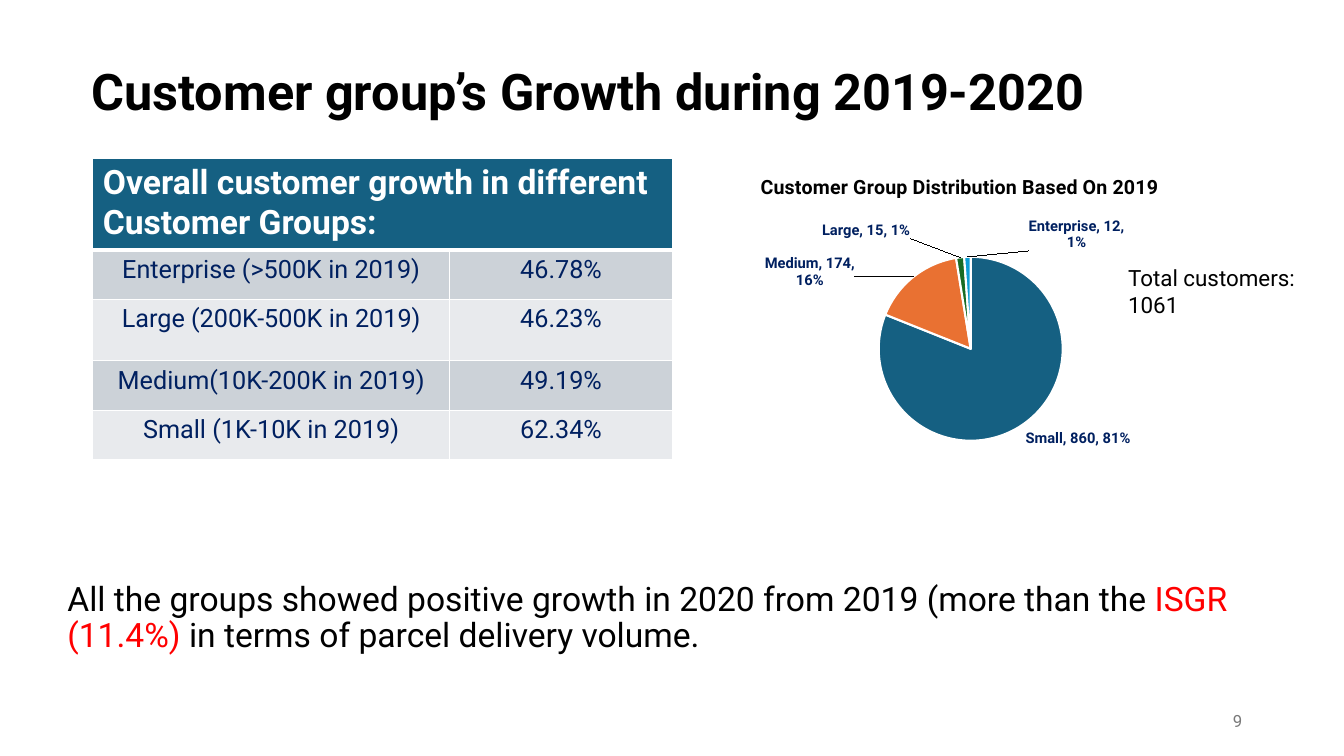
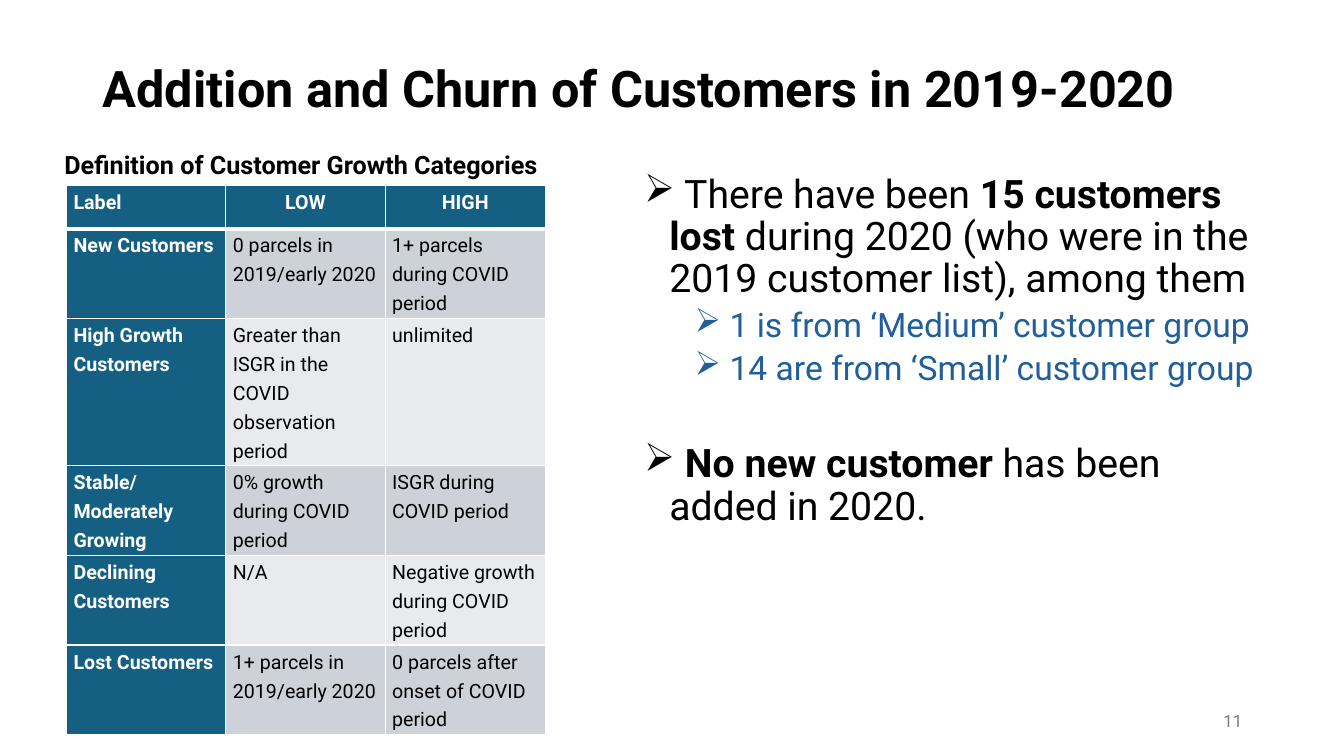
from copy import deepcopy
from dataclasses import dataclass
from typing import NamedTuple

from pptx import Presentation
from pptx import util as u
from pptx.chart import data as chart_data
from pptx.dml import color as dml
from pptx.enum import chart as ch
from pptx.enum import text as t
from pptx.oxml import parse_xml
from pptx.oxml import ns

PX = 9144  # 100 px to the inch
FONT = "Roboto"
BLACK, WHITE, GREY, RED = "000000", "FFFFFF", "797979", "FF0000"
TEAL, NAVY, BLUE = "156082", "002060", "215F9A"
BANDS = ("CCD2D8", "E8EAED")
LEFT, CENTER, RIGHT = t.PP_ALIGN.LEFT, t.PP_ALIGN.CENTER, t.PP_ALIGN.RIGHT


class Box(NamedTuple):
    left: int
    top: int
    width: int
    height: int

    def emu(self) -> list[int]:
        return [side * PX for side in self]


class Run(NamedTuple):
    text: str
    color: str | None = None
    bold: bool | None = None


@dataclass(frozen=True)
class Para:
    runs: tuple[Run, ...]
    size: float
    color: str = BLACK
    bold: bool = False
    align: t.PP_ALIGN = LEFT
    line: float = 1.0
    before: int = 0
    after: int = 0
    bullet_at: int | None = None


@dataclass(frozen=True)
class CellStyle:
    size: int
    line: float = 1.0
    before: int = 0
    after: int = 0
    inset: tuple[int, int] = (10, 5)


class Slice(NamedTuple):
    group: str
    customers: int
    color: str
    label_shift: tuple[float, float] | None = None


def rgb(value: str) -> dml.RGBColor:
    return dml.RGBColor.from_string(value)


def style_font(font, size: float, color: str, bold: bool) -> None:
    font.name, font.size, font.bold = FONT, u.Pt(size), bold
    font.color.rgb = rgb(color)


def add_bullet(paragraph, left: int) -> None:
    """Hang an arrowhead bullet 25 px before the text at left."""
    props = paragraph._p.get_or_add_pPr()
    props.set("marL", str(left * PX))
    props.set("indent", str(-25 * PX))
    props.append(parse_xml(f'<a:buChar {ns.nsdecls("a")} char="➢"/>'))


def fill_text(frame, paras: list[Para]) -> None:
    for index, para in enumerate(paras):
        paragraph = frame.add_paragraph() if index else frame.paragraphs[0]
        paragraph.alignment = para.align
        paragraph.line_spacing = para.line
        paragraph.space_before = u.Pt(para.before)
        paragraph.space_after = u.Pt(para.after)
        if para.bullet_at is not None:
            add_bullet(paragraph, para.bullet_at)
        style_font(paragraph.font, para.size, para.color, para.bold)
        for part in para.runs:
            run = paragraph.add_run()
            run.text = part.text
            if part.color:
                run.font.color.rgb = rgb(part.color)
            if part.bold is not None:
                run.font.bold = part.bold


def add_text(slide, box: Box, *paras: Para, anchor=t.MSO_ANCHOR.TOP) -> None:
    frame = slide.shapes.add_textbox(*box.emu()).text_frame
    frame.word_wrap = True
    frame.vertical_anchor = anchor
    fill_text(frame, list(paras))


def new_slide(deck, title: str, title_box: Box, number: int):
    slide = deck.slides.add_slide(deck.slide_layouts[6])
    middle = t.MSO_ANCHOR.MIDDLE
    add_text(slide, title_box, Para((Run(title),), 36, bold=True, line=0.9),
             anchor=middle)
    add_text(slide, Box(942, 695, 300, 40),
             Para((Run(str(number)),), 12, GREY, align=RIGHT), anchor=middle)
    return slide


def border_cell(cell, bottom_pt: int) -> None:
    props = cell._tc.get_or_add_tcPr()
    for index, side in enumerate("LRTB"):
        width = u.Pt(bottom_pt if side == "B" else 1)
        props.insert(index, parse_xml(
            f'<a:ln{side} {ns.nsdecls("a")} w="{width}"><a:solidFill>'
            f'<a:srgbClr val="{WHITE}"/></a:solidFill></a:ln{side}>'))


def add_banded_table(slide, box: Box, widths: list[int], heights: list[int],
                     rows: list[list[str]], style: CellStyle, text_color: str,
                     aligns: tuple, label_column: bool):
    """Draw a table with a teal header row and, if asked, a teal first column."""
    table = slide.shapes.add_table(len(rows), len(widths), *box.emu()).table
    for column, width in zip(table.columns, widths):
        column.width = width * PX
    for row, height in zip(table.rows, heights):
        row.height = height * PX
    for r, texts in enumerate(rows):
        for c, text in enumerate(texts):
            cell = table.cell(r, c)
            heading = r == 0 or (label_column and c == 0)
            cell.fill.solid()
            cell.fill.fore_color.rgb = rgb(TEAL if heading else BANDS[(r - 1) % 2])
            cell.margin_left = cell.margin_right = style.inset[0] * PX
            cell.margin_top = cell.margin_bottom = style.inset[1] * PX
            header_align = CENTER if c else LEFT
            fill_text(cell.text_frame, [Para(
                (Run(text),) if text else (), style.size,
                WHITE if heading else text_color, heading,
                aligns[c] if r else header_align,
                style.line, style.before, style.after)])
            border_cell(cell, 1 if r else 3)
    return table


def label_slices(series, slices: list[Slice]) -> None:
    """Label each slice outside the pie, shifting those that would collide."""
    labels = series.data_labels
    labels.show_value = labels.show_category_name = labels.show_percentage = True
    labels.position = ch.XL_LABEL_POSITION.OUTSIDE_END
    style_font(labels.font, 10.5, NAVY, True)
    group = labels._element
    group.find(ns.qn("c:showBubbleSize")).addnext(
        parse_xml(f'<c:separator {ns.nsdecls("c")}>, </c:separator>'))
    shared = [part for part in group if part.tag != ns.qn("c:showLeaderLines")]
    shifted = [(i, s.label_shift) for i, s in enumerate(slices) if s.label_shift]
    for place, (index, (dx, dy)) in enumerate(shifted):
        label = parse_xml(
            f'<c:dLbl {ns.nsdecls("c")}><c:idx val="{index}"/><c:layout>'
            f'<c:manualLayout><c:x val="{dx}"/><c:y val="{dy}"/>'
            '</c:manualLayout></c:layout></c:dLbl>')
        label.extend(deepcopy(part) for part in shared)
        group.insert(place, label)


def place_plot(chart, x: float, y: float, w: float, h: float) -> None:
    """Fix the plot area, in fractions of the chart."""
    area = chart._chartSpace.chart.plotArea
    for old in area.findall(ns.qn("c:layout")):
        area.remove(old)
    area.insert(0, parse_xml(
        f'<c:layout {ns.nsdecls("c")}><c:manualLayout>'
        '<c:layoutTarget val="inner"/><c:xMode val="edge"/><c:yMode val="edge"/>'
        f'<c:x val="{x}"/><c:y val="{y}"/><c:w val="{w}"/><c:h val="{h}"/>'
        '</c:manualLayout></c:layout>'))


def add_pie(slide, box: Box, title: str, slices: list[Slice]) -> None:
    source = chart_data.CategoryChartData()
    source.categories = [s.group for s in slices]
    source.add_series("Customers", [s.customers for s in slices])
    chart = slide.shapes.add_chart(
        ch.XL_CHART_TYPE.PIE, *box.emu(), source).chart
    style_font(chart.font, 10, BLACK, False)
    chart.has_legend = False
    heading = chart.chart_title.text_frame
    heading.text = title
    style_font(heading.paragraphs[0].font, 14, BLACK, True)
    chart.plots[0].vary_by_categories = False
    series = chart.plots[0].series[0]
    for index, part in enumerate(slices):
        look = series.points[index].format
        look.fill.solid()
        look.fill.fore_color.rgb = rgb(part.color)
        look.line.color.rgb = rgb(WHITE)
        look.line.width = u.Pt(1.5)
    label_slices(series, slices)
    place_plot(chart, 0.35, 0.3, 0.34, 0.56)


def growth_slide(deck) -> None:
    slide = new_slide(deck, "Customer group’s Growth during 2019-2020",
                      Box(81, 53, 1150, 81), 9)
    growth = add_banded_table(
        slide, Box(92, 157, 575, 298), [354, 221], [91, 49, 61, 49, 49],
        [["Overall customer growth in different Customer Groups:", ""],
         ["Enterprise (>500K in 2019)", "46.78%"],
         ["Large (200K-500K in 2019)", "46.23%"],
         ["Medium(10K-200K in 2019)", "49.19%"],
         ["Small (1K-10K in 2019)", "62.34%"]],
        CellStyle(18), NAVY, (CENTER, CENTER), label_column=False)
    header = growth.cell(0, 0)
    header.merge(growth.cell(0, 1))
    header.text_frame.paragraphs[0].font.size = u.Pt(24)
    add_text(slide, Box(57, 573, 1184, 94), Para((
        Run("All the groups showed positive growth in 2020 from 2019 (more than the "),
        Run("ISGR (11.4%) ", RED),
        Run("in terms of parcel delivery volume.")), 24, line=0.9, before=10))
    add_pie(slide, Box(681, 157, 542, 326),
            "Customer Group Distribution Based On 2019",
            [Slice("Small", 860, TEAL),
             Slice("Medium", 174, "E97132", (-0.1, 0.05)),
             Slice("Large", 15, "196B24", (-0.09, -0.04)),
             Slice("Enterprise", 12, "0F9ED5", (0.2, 0))])
    add_text(slide, Box(1109, 257, 209, 64),
             Para((Run("Total customers: 1061"),), 16))


def churn_slide(deck) -> None:
    slide = new_slide(deck, "Addition and Churn of Customers in 2019-2020",
                      Box(92, 53, 1150, 75), 11)
    add_text(
        slide, Box(629, 168, 638, 498),
        Para((Run(" There have been "), Run("15 customers lost", bold=True),
              Run(" during 2020 (who were in the 2019 customer list), among them")),
             28, line=0.9, before=10, bullet_at=25),
        *(Para((Run(f" {loss} customer group"),), 24, BLUE, line=0.9, before=5,
               bullet_at=75)
          for loss in ("1 is from ‘Medium’", "14 are from ‘Small’")),
        Para((Run(" No new customer ", bold=True), Run("has been added in 2020.")),
             28, line=0.9, before=40, bullet_at=25))
    add_banded_table(
        slide, Box(66, 184, 475, 488), [158, 158, 159], [43] + [89] * 5,
        [["Label", "LOW", "HIGH"],
         ["New Customers", "0 parcels in 2019/early 2020",
          "1+ parcels during COVID period"],
         ["High Growth Customers",
          "Greater than ISGR in the COVID observation period", "unlimited"],
         ["Stable/ Moderately Growing", "0% growth during COVID period",
          "ISGR during COVID period"],
         ["Declining Customers", "N/A", "Negative growth during COVID period"],
         ["Lost Customers", "1+ parcels in 2019/early 2020",
          "0 parcels after onset of COVID period"]],
        CellStyle(14, 1.25, 6, 8, (7, 0)), BLACK, (LEFT, LEFT, LEFT),
        label_column=True)
    add_text(slide, Box(54, 143, 517, 40),
             Para((Run("Definition of Customer Growth Categories"),), 18, bold=True))


def main() -> None:
    deck = Presentation()
    deck.slide_width, deck.slide_height = 1333 * PX, 750 * PX
    growth_slide(deck)
    churn_slide(deck)
    deck.save("out.pptx")


if __name__ == "__main__":
    main()
